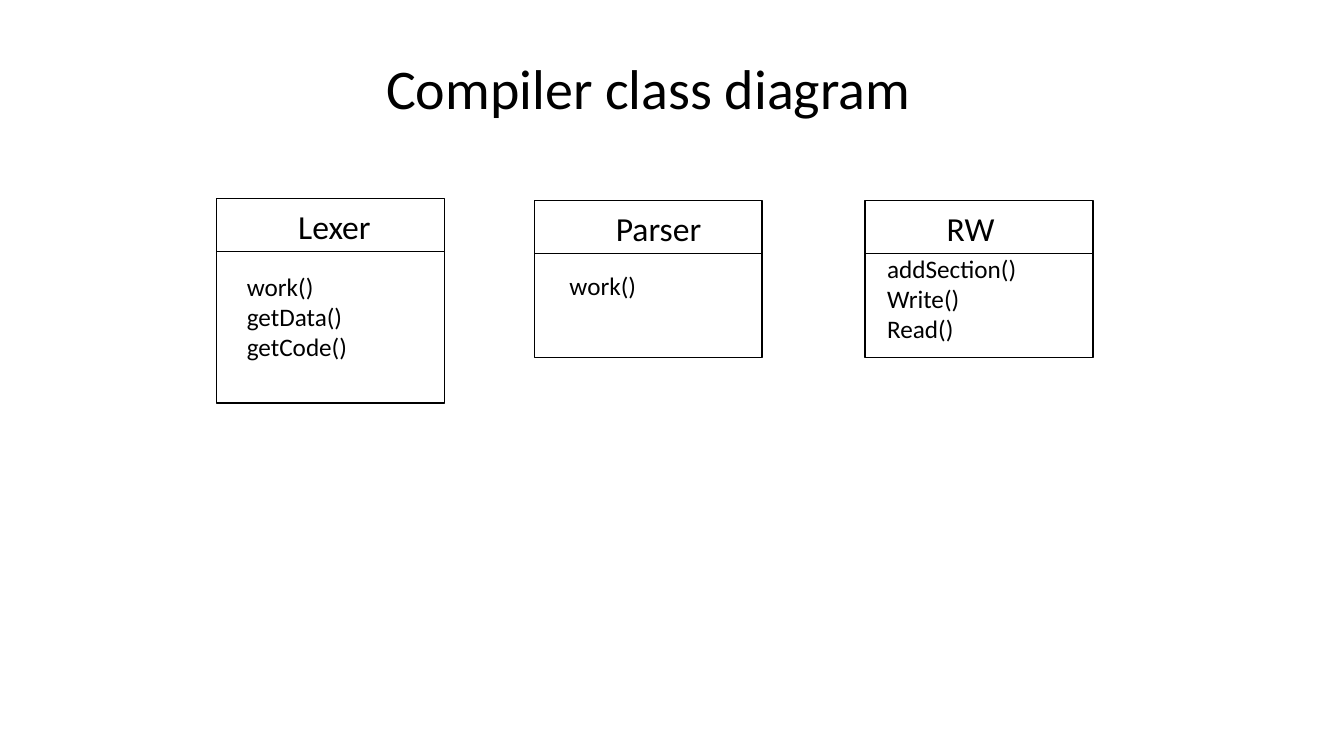
import pptx
import pptx.dml.color
import pptx.enum.shapes
import pptx.enum.text
import pptx.oxml.ns
import pptx.util
from lxml import etree

Inches = pptx.util.Inches
COLORS = {"ink": "000000", "paper": "FFFFFF"}
FONT = "Calibri"
BOX_WIDTH = 2.26
HEADER_HEIGHT = 0.52


def color(name):
    return pptx.dml.color.RGBColor.from_string(COLORS[name])


def write_text(frame, text, size=18, ink="ink", align="LEFT", wrap=True):
    """Fill a text frame, one paragraph for each line of text."""
    frame.word_wrap = wrap
    frame.auto_size = pptx.enum.text.MSO_AUTO_SIZE.SHAPE_TO_FIT_TEXT
    for index, line in enumerate(text.split("\n")):
        paragraph = frame.add_paragraph() if index else frame.paragraphs[0]
        paragraph.alignment = getattr(pptx.enum.text.PP_ALIGN, align)
        run = paragraph.add_run()
        run.text = line
        run.font.name = FONT
        run.font.size = pptx.util.Pt(size)
        run.font.color.rgb = color(ink)


class Diagram:
    def __init__(self, slide):
        self.slide = slide

    def text(self, shapes, left, top, width, height, text, **style):
        shape = shapes.add_textbox(Inches(left), Inches(top), Inches(width), Inches(height))
        write_text(shape.text_frame, text, **style)

    def box(self, shapes, left, top, width, height):
        shape = shapes.add_shape(
            pptx.enum.shapes.MSO_SHAPE.RECTANGLE,
            Inches(left), Inches(top), Inches(width), Inches(height))
        shape.shadow.inherit = False
        shape.fill.solid()
        shape.fill.fore_color.rgb = color("paper")
        shape.line.color.rgb = color("ink")
        shape.line.width = pptx.util.Pt(1)

    def divider(self, shapes, left, top, width):
        line = shapes.add_connector(
            pptx.enum.shapes.MSO_CONNECTOR.STRAIGHT,
            Inches(left), Inches(top), Inches(left + width), Inches(top))
        line.line.color.rgb = color("ink")
        line.line.width = pptx.util.Pt(0.5)
        properties = line._element.spPr
        etree.SubElement(properties, pptx.oxml.ns.qn("a:effectLst"))

    def class_box(self, name, left, top, height, name_width, methods, methods_at):
        """Group a frame, its divider, the class name and the methods."""
        shapes = self.slide.shapes.add_group_shape().shapes
        self.box(shapes, left, top, BOX_WIDTH, height)
        self.divider(shapes, left, top + HEADER_HEIGHT, BOX_WIDTH)
        self.text(shapes, left + 0.71, top + 0.02, name_width, 0.5,
                  name, size=24, wrap=False)
        self.text(shapes, *methods_at, "\n".join(methods))


presentation = pptx.Presentation()
presentation.slide_width = Inches(13.33)
presentation.slide_height = Inches(7.5)
slide = presentation.slides.add_slide(presentation.slide_layouts[6])
diagram = Diagram(slide)

# Title
diagram.text(slide.shapes, 3.03, 0.48, 6.8, 0.77, "Compiler class diagram",
             size=40, align="CENTER")

# Classes: name, left, top, height, name width, methods, place of methods
CLASSES = [
    ("Lexer", 2.15, 1.97, 2.03, 0.93, ["work()", "getData()", "getCode()"],
     (2.35, 2.64, 1.97, 1.01)),
    ("Parser", 5.3, 1.99, 1.56, 1.06, ["work()"],
     (5.55, 2.63, 1.2, 0.4)),
    ("RW", 8.58, 1.99, 1.56, 0.68, ["addSection()", "Write()", "Read()"],
     (8.7, 2.46, 2.01, 1.01)),
]
for entry in CLASSES:
    diagram.class_box(*entry)

presentation.save("out.pptx")
